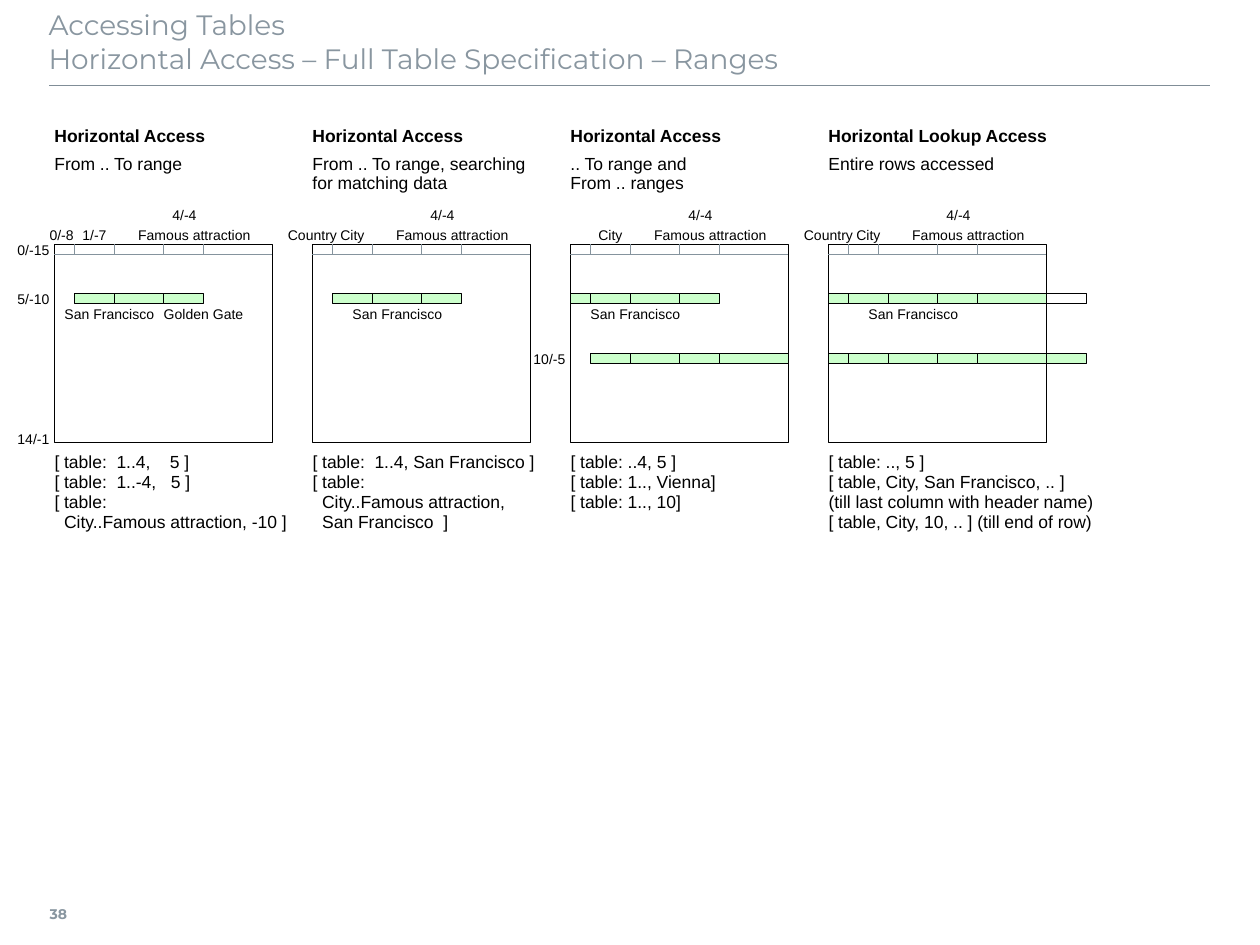
from lxml import etree
from pptx import Presentation
from pptx.dml.color import RGBColor
from pptx.enum import shapes, text
from pptx.oxml.ns import qn
from pptx.util import Emu, Pt

SCALE = 914400 / 126
BLACK = RGBColor(0x00, 0x00, 0x00)
GREEN = RGBColor(0xCC, 0xFF, 0xCC)
SLATE = RGBColor(0x85, 0x93, 0x9D)
RULE = RGBColor(0x80, 0x8D, 0x97)
TITLE = RGBColor(0x89, 0x96, 0xA0)
LEFT, CENTER, RIGHT = text.PP_ALIGN.LEFT, text.PP_ALIGN.CENTER, text.PP_ALIGN.RIGHT
TOP, MIDDLE = text.MSO_ANCHOR.TOP, text.MSO_ANCHOR.MIDDLE

HEADING = "Accessing Tables\vHorizontal Access – Full Table Specification – Ranges"
PAGE = "38"

# Column edges inside each table; the last cell lies beyond the frame
EDGES = [0, 20, 60, 109, 149, 218, 258]
FIRST, PITCH = 54, 258
TABLE_Y, TABLE_W, TABLE_H, ROW_H = 244, 218, 198, 10
LABEL = 20
ROW5, ROW10, ROW14 = 293, 353, 433

# ticks: header marks; rows: (y, first cell, end cell); data: (x, width, text, alignment)
# cols: (x, text, alignment); side: (y, text)
PANELS = [
    dict(head="Horizontal Access", about=["From .. To range"],
         ticks=[20, 60, 109, 149], rows=[(ROW5, 1, 4)],
         cols=[(-10, "0/-8", LEFT), (30, "1/-7", CENTER)],
         side=[(TABLE_Y, "0/-15"), (ROW5, "5/-10"), (ROW14, "14/-1")],
         data=[(10, 128, "San Francisco", LEFT), (90, 99, "Golden Gate", RIGHT)],
         calls=["[ table:  1..4,    5 ]", "[ table:  1..-4,   5 ]", "[ table:",
                "  City..Famous attraction, -10 ]"]),
    dict(head="Horizontal Access",
         about=["From .. To range, searching", "for matching data"],
         ticks=[20, 60, 109, 149], rows=[(ROW5, 1, 4)],
         cols=[(-10, "Country", CENTER), (30, "City", CENTER)], side=[],
         data=[(40, 128, "San Francisco", LEFT)],
         calls=["[ table:  1..4, San Francisco ]", "[ table:",
                "  City..Famous attraction,", "  San Francisco  ]"]),
    dict(head="Horizontal Access", about=[".. To range and", "From .. ranges"],
         ticks=[20, 60, 109, 149], rows=[(ROW5, 0, 4), (ROW10, 1, 5)],
         cols=[(30, "City", CENTER)], side=[(ROW10, "10/-5")],
         data=[(20, 128, "San Francisco", LEFT)],
         calls=["[ table: ..4, 5 ]", "[ table: 1.., Vienna]", "[ table: 1.., 10]"]),
    dict(head="Horizontal Lookup Access", about=["Entire rows accessed"],
         ticks=[20, 50, 109, 149], rows=[(ROW5, 0, 6), (ROW10, 0, 6)],
         cols=[(-10, "Country", CENTER), (30, "City", CENTER)], side=[],
         data=[(40, 128, "San Francisco", LEFT)],
         calls=["[ table: .., 5 ]", "[ table, City, San Francisco, .. ]",
                "(till last column with header name)",
                "[ table, City, 10, .. ] (till end of row)"]),
]
SHARED = [(120, 204, "4/-4"), (130, 224, "Famous attraction")]
UNFILLED = (3, ROW5, 5)


def px(*sizes):
    return [Emu(round(size * SCALE)) for size in sizes]


def spot(x, y):
    """Centre a position on its pixel, so that thin lines stay sharp."""
    return px(x + 0.5, y + 0.5)


def style(para, size, color=BLACK, name="Arial", bold=False):
    font = para.font
    font.size, font.name, font.bold = Pt(size), name, bold
    font.color.rgb = color


def inset(frame, left, top, right, bottom):
    (frame.margin_left, frame.margin_top,
     frame.margin_right, frame.margin_bottom) = px(left, top, right, bottom)


def block(slide, x, y, wide, high):
    """Add a rectangle with neither fill nor line."""
    shape = slide.shapes.add_shape(
        shapes.MSO_SHAPE.RECTANGLE, *spot(x, y), *px(wide, high))
    shape.shadow.inherit = False
    shape.fill.background()
    shape.line.fill.background()
    return shape


def write(slide, box, lines, size, align=LEFT, anchor=MIDDLE, pad=0, space=None, **look):
    frame = block(slide, *box).text_frame
    frame.word_wrap = False
    frame.vertical_anchor = anchor
    inset(frame, pad, pad, pad, pad)
    frame.text = "\n".join(lines)
    for para in frame.paragraphs:
        para.alignment = align
        if space:
            para.line_spacing = space
        style(para, size, **look)


def label(slide, x, y, words, align=CENTER, height=LABEL):
    write(slide, (x, y, LABEL, height), [words], 8, align, pad=5)


def rect(slide, x, y, wide, high, fill=None):
    shape = block(slide, x, y, wide, high)
    if fill is not None:
        shape.fill.solid()
        shape.fill.fore_color.rgb = fill
    shape.line.color.rgb = BLACK
    shape.line.width = Pt(0.75)


def rule(slide, x1, y1, x2, y2, color=SLATE, width=0.75):
    line = slide.shapes.add_connector(
        shapes.MSO_CONNECTOR.STRAIGHT, *spot(x1, y1), *spot(x2, y2))
    line.line.color.rgb = color
    line.line.width = Pt(width)
    etree.SubElement(line._element.spPr, qn("a:effectLst"))


def draw(slide, index, panel):
    left = FIRST + index * PITCH
    write(slide, (left, 125, 149, 20), [panel["head"]], 10, bold=True)
    write(slide, (left, 155, 149, 49), panel["about"], 10, anchor=TOP, space=0.9)
    write(slide, (left, 452, TABLE_W, 69), panel["calls"], 10, anchor=TOP, space=0.95)

    rect(slide, left, TABLE_Y, TABLE_W, TABLE_H)
    base = TABLE_Y + ROW_H
    rule(slide, left, base, left + TABLE_W, base)
    for tick in panel["ticks"]:
        rule(slide, left + tick, TABLE_Y, left + tick, base)

    for y, start, end in panel["rows"]:
        for cell in range(start, end):
            fill = None if (index, y, cell) == UNFILLED else GREEN
            rect(slide, left + EDGES[cell], y, EDGES[cell + 1] - EDGES[cell], ROW_H, fill)

    for x, y, words in SHARED:
        label(slide, left + x, y, words)
    for x, words, align in panel["cols"]:
        label(slide, left + x, 224, words, align)
    for y, words in panel["side"]:
        label(slide, left - LABEL, y, words, RIGHT, ROW_H)
    for x, wide, words, align in panel["data"]:
        write(slide, (left + x, 304, wide, LABEL), [words], 8, align, space=0.95)


def main():
    deck = Presentation()
    deck.slide_width, deck.slide_height = px(1260, 945)
    slide = deck.slides.add_slide(deck.slide_layouts[5])

    title = slide.shapes.title
    title.left, title.top = spot(48, 1)
    title.width, title.height = px(1160, 79)
    frame = title.text_frame
    frame.text = HEADING
    frame.auto_size = text.MSO_AUTO_SIZE.NONE
    frame.word_wrap = True
    frame.vertical_anchor = TOP
    inset(frame, 0, 6, 13, 6)
    frame.paragraphs[0].alignment = LEFT
    style(frame.paragraphs[0], 16, TITLE, "Montserrat")

    rule(slide, 49, 85, 1210, 85, RULE, 1)
    write(slide, (49, 889, 44, 49), [PAGE], 8, color=TITLE, name="Montserrat", bold=True)
    for index, panel in enumerate(PANELS):
        draw(slide, index, panel)
    deck.save("out.pptx")


if __name__ == "__main__":
    main()
